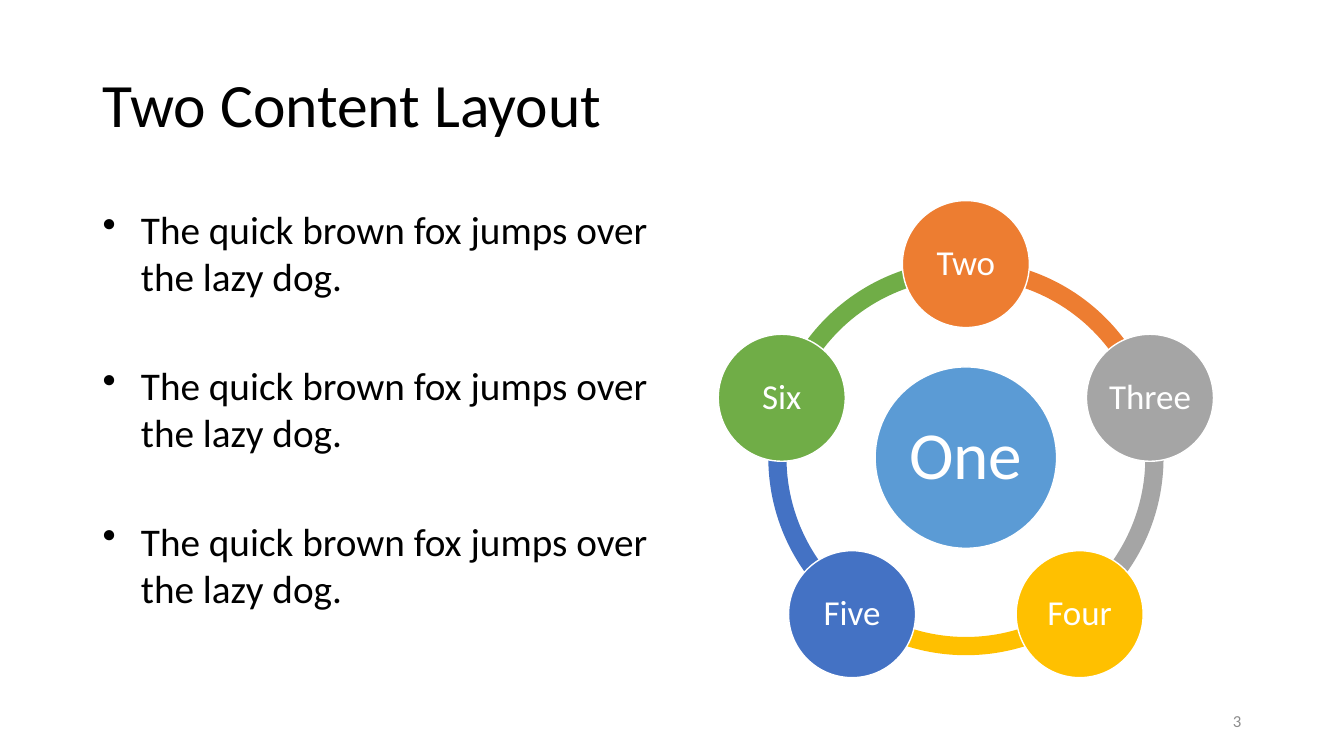
"""Build the Two Content Layout slide: a bullet list beside a radial cycle diagram."""
import math
from dataclasses import dataclass

import pptx
import pptx.dml.color
import pptx.enum.shapes
import pptx.enum.text
import pptx.oxml.ns
import pptx.util
from lxml import etree

Inches = pptx.util.Inches
Pt = pptx.util.Pt
RGB = pptx.dml.color.RGBColor.from_string
SHAPE = pptx.enum.shapes.MSO_SHAPE
ALIGN = pptx.enum.text.PP_ALIGN
ANCHOR = pptx.enum.text.MSO_ANCHOR


@dataclass(frozen=True)
class Theme:
    font: str = "Calibri"
    ink: str = "000000"
    paper: str = "FFFFFF"
    muted: str = "8C8C8C"
    hub: str = "5B9BD5"
    orange: str = "ED7D31"
    gray: str = "A5A5A5"
    gold: str = "FFC000"
    blue: str = "4472C4"
    green: str = "70AD47"
    title_size: int = 44
    body_size: int = 28
    hub_size: int = 48
    node_size: int = 25
    number_size: int = 12


def write(para, text, *, theme, size, color, align=ALIGN.LEFT, before=0, bullet_indent=None):
    para.alignment = align
    para.space_before = Pt(before)
    if bullet_indent is not None:
        properties = para._p.get_or_add_pPr()
        properties.set("marL", str(bullet_indent))
        properties.set("indent", str(-bullet_indent))
        mark = etree.SubElement(properties, pptx.oxml.ns.qn("a:buChar"))
        mark.set("char", "•")
    span = para.add_run()
    span.text = text
    span.font.name = theme.font
    span.font.size = Pt(size)
    span.font.color.rgb = RGB(color)


class SlideBuilder:
    def __init__(self, deck, theme):
        self.theme = theme
        self.slide = deck.slides.add_slide(deck.slide_layouts[5])

    def title(self, text, left, top, width, height):
        box = self.slide.shapes.title
        box.left, box.top = Inches(left), Inches(top)
        box.width, box.height = Inches(width), Inches(height)
        frame = box.text_frame
        frame.auto_size = pptx.enum.text.MSO_AUTO_SIZE.NONE
        frame.vertical_anchor = ANCHOR.MIDDLE
        write(frame.paragraphs[0], text, theme=self.theme,
              size=self.theme.title_size, color=self.theme.ink)

    def text_box(self, left, top, width, height, anchor=ANCHOR.TOP):
        box = self.slide.shapes.add_textbox(
            Inches(left), Inches(top), Inches(width), Inches(height))
        box.text_frame.word_wrap = True
        box.text_frame.vertical_anchor = anchor
        return box.text_frame

    def bullets(self, items, left, top, width, height, gap):
        frame = self.text_box(left, top, width, height)
        for index, item in enumerate(items):
            para = frame.add_paragraph() if index else frame.paragraphs[0]
            write(para, item, theme=self.theme, size=self.theme.body_size,
                  color=self.theme.ink, before=gap if index else 0,
                  bullet_indent=Inches(0.38))

    def page_number(self, text, left, top, width, height):
        frame = self.text_box(left, top, width, height, ANCHOR.MIDDLE)
        write(frame.paragraphs[0], text, theme=self.theme, size=self.theme.number_size,
              color=self.theme.muted, align=ALIGN.RIGHT)

    def centred_shape(self, kind, center, diameter, color):
        left, top = (Inches(middle - diameter / 2) for middle in center)
        shape = self.slide.shapes.add_shape(
            kind, left, top, Inches(diameter), Inches(diameter))
        shape.shadow.inherit = False
        shape.fill.solid()
        shape.fill.fore_color.rgb = RGB(color)
        shape.line.fill.background()
        return shape

    def arc(self, center, diameter, start, end, color):
        shape = self.centred_shape(SHAPE.BLOCK_ARC, center, diameter, color)
        units_per_degree = 0.6
        shape.adjustments[0] = start % 360 * units_per_degree
        shape.adjustments[1] = end % 360 * units_per_degree
        shape.adjustments[2] = 0.046

    def disc(self, text, center, diameter, color, size, inset):
        shape = self.centred_shape(SHAPE.OVAL, center, diameter, color)
        shape.line.color.rgb = RGB(self.theme.paper)
        shape.line.width = Pt(1)
        frame = shape.text_frame
        frame.word_wrap = True
        frame.vertical_anchor = ANCHOR.MIDDLE
        frame.margin_left = frame.margin_right = Inches(inset)
        frame.margin_top = frame.margin_bottom = Inches(inset)
        para = frame.paragraphs[0]
        para.line_spacing = 0.9
        write(para, text, theme=self.theme, size=size,
              color=self.theme.paper, align=ALIGN.CENTER)

    def radial_cycle(self, hub, nodes, center, orbit):
        step = 360 / len(nodes)
        angles = [270 + step * index for index in range(len(nodes))]
        for angle, (_, color) in zip(angles, nodes):
            self.arc(center, 3.92, angle, angle + step, color)
        self.disc(hub, center, 1.8, self.theme.hub, self.theme.hub_size, 0.07)
        for angle, (label, color) in zip(angles, nodes):
            turn = math.radians(angle)
            place = (center[0] + orbit * math.cos(turn), center[1] + orbit * math.sin(turn))
            self.disc(label, place, 1.26, color, self.theme.node_size, 0.03)


def main():
    deck = pptx.Presentation()
    deck.slide_width, deck.slide_height = Inches(13.33), Inches(7.5)
    theme = Theme()
    page = SlideBuilder(deck, theme)
    page.title("Two Content Layout", 0.92, 0.3, 11.5, 1.45)
    page.bullets(["The quick brown fox jumps over the lazy dog."] * 3,
                 0.92, 1.99, 5.67, 4.76, gap=44)
    nodes = [("Two", theme.orange), ("Three", theme.gray), ("Four", theme.gold),
             ("Five", theme.blue), ("Six", theme.green)]
    page.radial_cycle("One", nodes, center=(9.58, 4.54), orbit=1.92)
    page.page_number("3", 8.83, 6.95, 3.58, 0.4)
    deck.save("out.pptx")


if __name__ == "__main__":
    main()
